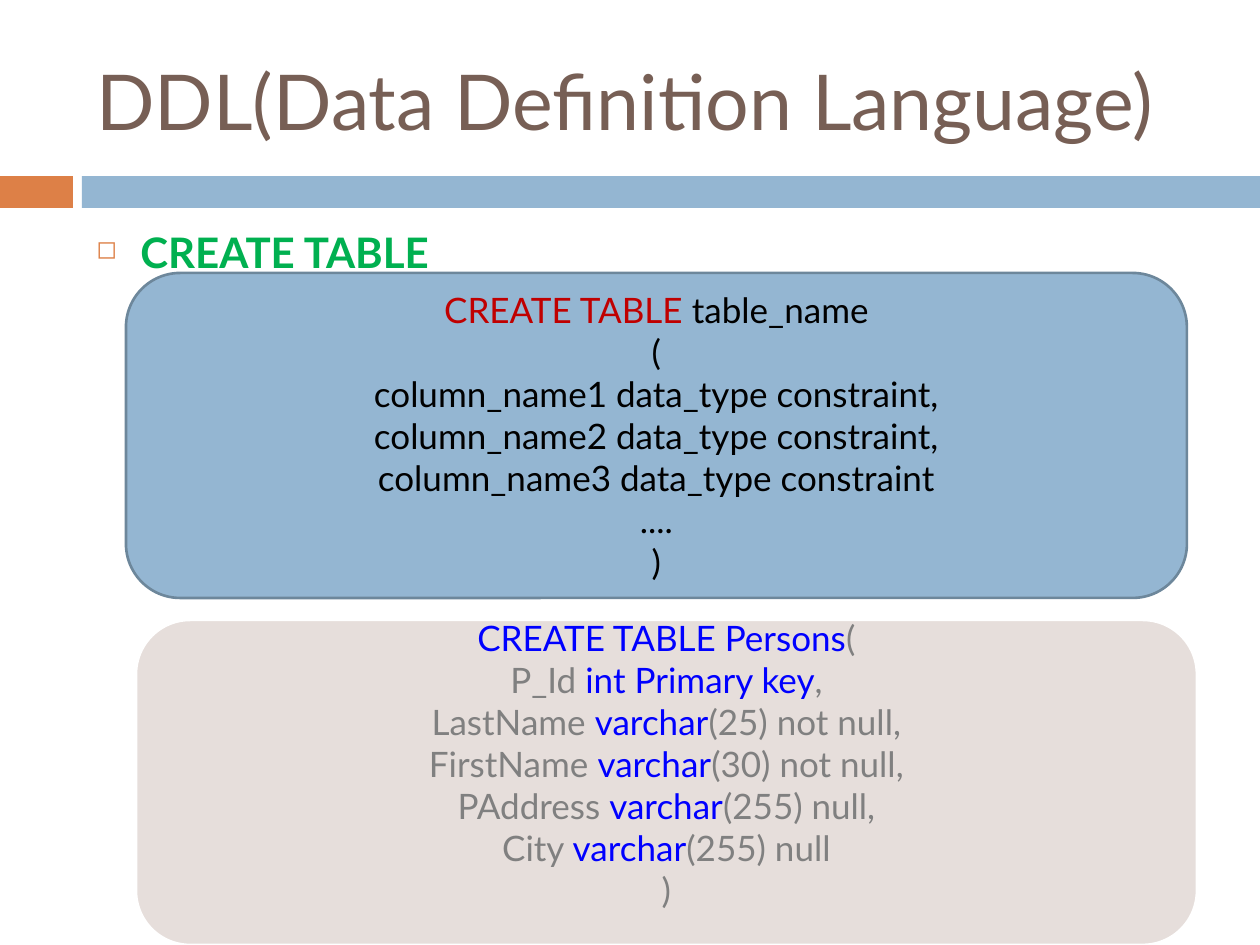
import dataclasses

import lxml.etree
import pptx
import pptx.dml.color
import pptx.enum.shapes
import pptx.enum.text
import pptx.oxml.ns
import pptx.util

SHAPE = pptx.enum.shapes.MSO_SHAPE
ALIGN = pptx.enum.text.PP_ALIGN
ANCHOR = pptx.enum.text.MSO_ANCHOR


@dataclasses.dataclass(frozen=True)
class Theme:
    font: str = "Lato"
    title_size: int = 44
    heading_size: int = 24
    code_size: int = 20
    orange: str = "DD8047"
    blue: str = "94B6D2"
    outline: str = "6D879B"
    brown: str = "775F55"
    green: str = "00B050"
    red: str = "C00000"
    black: str = "000000"
    sand: str = "E6DEDB"
    white: str = "FFFFFF"
    keyword: str = "0000FF"
    gray: str = "808080"


class SlideWriter:
    """Draws styled elements on one slide, measured in pixels."""

    def __init__(self, slide, theme):
        self.slide = slide
        self.theme = theme

    def px(self, pixels):
        return pptx.util.Emu(round(pixels * 914400 / 126))

    def color(self, value):
        return pptx.dml.color.RGBColor.from_string(value)

    def box(self, kind, bounds, fill, line=None):
        shape = self.slide.shapes.add_shape(kind, *map(self.px, bounds))
        shape.shadow.inherit = False
        shape.fill.solid()
        shape.fill.fore_color.rgb = self.color(fill)
        if line:
            shape.line.color.rgb = self.color(line)
            shape.line.width = pptx.util.Pt(1.5)
        else:
            shape.line.fill.background()
        return shape

    def run(self, paragraph, text, size, color, bold=False):
        run = paragraph.add_run()
        run.text = text
        run.font.name = self.theme.font
        run.font.size = pptx.util.Pt(size)
        run.font.bold = bold
        run.font.color.rgb = self.color(color)

    def text(self, bounds, text, size, color, bold=False, anchor=ANCHOR.TOP):
        frame = self.slide.shapes.add_textbox(*map(self.px, bounds)).text_frame
        frame.word_wrap = True
        frame.vertical_anchor = anchor
        paragraph = frame.paragraphs[0]
        self.run(paragraph, text, size, color, bold)
        return paragraph

    def bullet(self, paragraph, character, color, percent, indent):
        paragraph.space_before = pptx.util.Pt(7)
        properties = paragraph._p.get_or_add_pPr()
        properties.set("marL", str(self.px(indent)))
        properties.set("indent", str(-self.px(indent)))
        qn = pptx.oxml.ns.qn
        tint = lxml.etree.SubElement(properties, qn("a:buClr"))
        lxml.etree.SubElement(tint, qn("a:srgbClr"), val=color)
        lxml.etree.SubElement(properties, qn("a:buSzPct"), val=str(percent * 1000))
        lxml.etree.SubElement(properties, qn("a:buChar"), char=character)

    def code_panel(self, bounds, fill, line, paragraphs, bottom=6):
        frame = self.box(SHAPE.ROUNDED_RECTANGLE, bounds, fill, line).text_frame
        frame.word_wrap = True
        frame.vertical_anchor = ANCHOR.MIDDLE
        frame.margin_bottom = self.px(bottom)
        for index, lines in enumerate(paragraphs):
            paragraph = frame.add_paragraph() if index else frame.paragraphs[0]
            paragraph.alignment = ALIGN.CENTER
            for number, parts in enumerate(lines):
                if number:
                    paragraph.add_line_break()
                for text, color in parts:
                    self.run(paragraph, text, self.theme.code_size, color)


def main():
    """Build and save the CREATE TABLE slide."""
    theme = Theme()
    deck = pptx.Presentation()
    deck.slide_width = pptx.util.Inches(10)
    deck.slide_height = pptx.util.Inches(7.5)
    writer = SlideWriter(deck.slides.add_slide(deck.slide_layouts[6]), theme)

    writer.box(SHAPE.RECTANGLE, (0, 176, 73, 32), theme.orange)
    writer.box(SHAPE.RECTANGLE, (82, 176, 1178, 32), theme.blue)
    writer.text((84, 32, 1124, 136), "DDL(Data Definition Language)",
                theme.title_size, theme.brown, anchor=ANCHOR.MIDDLE)
    heading = writer.text((84, 220, 1124, 620), "CREATE TABLE",
                          theme.heading_size, theme.green, bold=True)
    writer.bullet(heading, "\u25fb", theme.orange, 60, 44)

    syntax = [[("CREATE TABLE ", theme.red), ("table_name", theme.black)]]
    syntax += [[(line, theme.black)] for line in (
        "(",
        "column_name1 data_type constraint,",
        "column_name2 data_type constraint,",
        "column_name3 data_type constraint",
        "....",
        ")",
    )]
    writer.code_panel((126, 273, 1061, 325), theme.blue, theme.outline, [syntax])

    columns = (
        ("P_Id ", "int Primary key", ","),
        ("LastName ", "varchar", "(25) not null,"),
        ("FirstName ", "varchar", "(30) not null,"),
        ("PAddress ", "varchar", "(255) null,"),
        ("City ", "varchar", "(255) null"),
    )
    example = [[[("CREATE TABLE Persons", theme.keyword), ("(", theme.gray)]]]
    example += [[list(zip(column, (theme.gray, theme.keyword, theme.gray)))]
                for column in columns]
    example.append([[(")", theme.gray)]])
    writer.code_panel((136, 620, 1061, 325), theme.sand, theme.white, example,
                      bottom=44)

    deck.save("out.pptx")


main()
